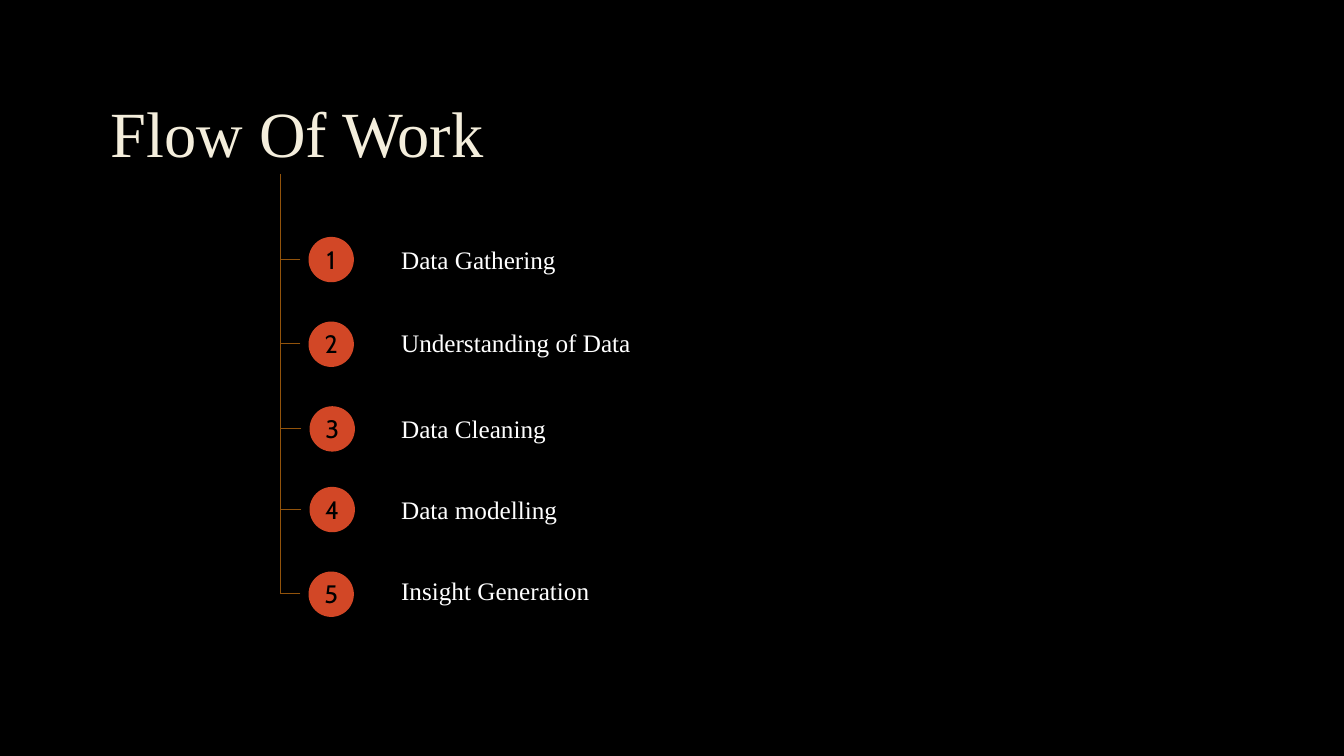
from lxml import etree
from pptx import Presentation
from pptx import util as u
from pptx.dml.color import RGBColor
from pptx.enum import shapes, text
from pptx.oxml.ns import qn

COLORS = {
    "background": "000000",
    "title": "F4EEDC",
    "badge": "D24726",
    "number": "000000",
    "label": "FFFFFF",
    "line": "92530B",
}
STEPS = [
    ("Data Gathering", 306, 235, 237),
    ("Understanding of Data", 306, 319, 320),
    ("Data Cleaning", 307, 403, 405),
    ("Data modelling", 307, 483, 486),
    ("Insight Generation", 306, 567, 566),
]
BADGE = 45
TRUNK_X, TRUNK_TOP = 278, 173


def px(length):
    """Turn px, a hundred to the inch, into EMU."""
    return u.Emu(length * 9144)


def color(name):
    """Look up a named colour."""
    return RGBColor.from_string(COLORS[name])


class Painter:
    """Hold the style and the current slide."""

    serif = "Times New Roman"
    sans = "Cabin"

    def __init__(self, deck):
        """Add a black slide with a title placeholder."""
        self.page = deck.slides.add_slide(deck.slide_layouts[5])
        fill = self.page.background.fill
        fill.solid()
        fill.fore_color.rgb = color("background")

    def add_words(self, frame, words, font, size, ink, align):
        """Add one styled run to a text frame."""
        para = frame.paragraphs[0]
        para.alignment = align
        span = para.add_run()
        span.text = words
        span.font.name = font
        span.font.size = u.Pt(size)
        span.font.color.rgb = color(ink)
        return para

    def title(self, words, left, top, width, height):
        """Place and fill the title placeholder."""
        box = self.page.shapes.title
        box.left, box.top, box.width, box.height = map(px, (left, top, width, height))
        frame = box.text_frame
        frame.auto_size = text.MSO_AUTO_SIZE.NONE
        frame.vertical_anchor = text.MSO_ANCHOR.MIDDLE
        para = self.add_words(frame, words, self.serif, 46, "title", text.PP_ALIGN.LEFT)
        para.line_spacing = 0.9

    def textbox(self, parent, words, left, top, width, font, ink, align):
        """Add a single-line text box to a shape tree."""
        box = parent.add_textbox(*map(px, (left, top, width, 40)))
        frame = box.text_frame
        frame.word_wrap = True
        frame.auto_size = text.MSO_AUTO_SIZE.SHAPE_TO_FIT_TEXT
        return self.add_words(frame, words, font, 18, ink, align)

    def badge(self, number, left, top):
        """Add a grouped disc and number."""
        members = self.page.shapes.add_group_shape().shapes
        disc = members.add_shape(
            shapes.MSO_SHAPE.OVAL, *map(px, (left, top, BADGE, BADGE))
        )
        disc.shadow.inherit = False
        disc.fill.solid()
        disc.fill.fore_color.rgb = color("badge")
        disc.line.fill.background()
        self.textbox(members, str(number), left - 8, top + 2, 61,
                     self.sans, "number", text.PP_ALIGN.CENTER)

    def label(self, words, top):
        """Add the wording of a step."""
        para = self.textbox(self.page.shapes, words, 388, top, 667,
                            self.serif, "label", text.PP_ALIGN.LEFT)
        para.space_after = u.Pt(20)

    def line(self, *ends):
        """Add a thin straight line."""
        line = self.page.shapes.add_connector(
            shapes.MSO_CONNECTOR.STRAIGHT, *map(px, ends)
        )
        line.line.color.rgb = color("line")
        line.line.width = u.Pt(0.75)
        etree.SubElement(line._element.spPr, qn("a:effectLst"))


def main():
    """Build the slide and save it."""
    deck = Presentation()
    deck.slide_width, deck.slide_height = px(1333), px(750)
    painter = Painter(deck)
    painter.title("Flow Of Work", 100, 67, 1132, 138)
    painter.line(TRUNK_X, TRUNK_TOP, TRUNK_X, STEPS[-1][2] + BADGE // 2)
    for number, (words, left, top, label_top) in enumerate(STEPS, 1):
        middle = top + BADGE // 2
        painter.badge(number, left, top)
        painter.line(left - 8, middle, TRUNK_X, middle)
        painter.label(words, label_top)
    deck.save("out.pptx")


if __name__ == "__main__":
    main()
